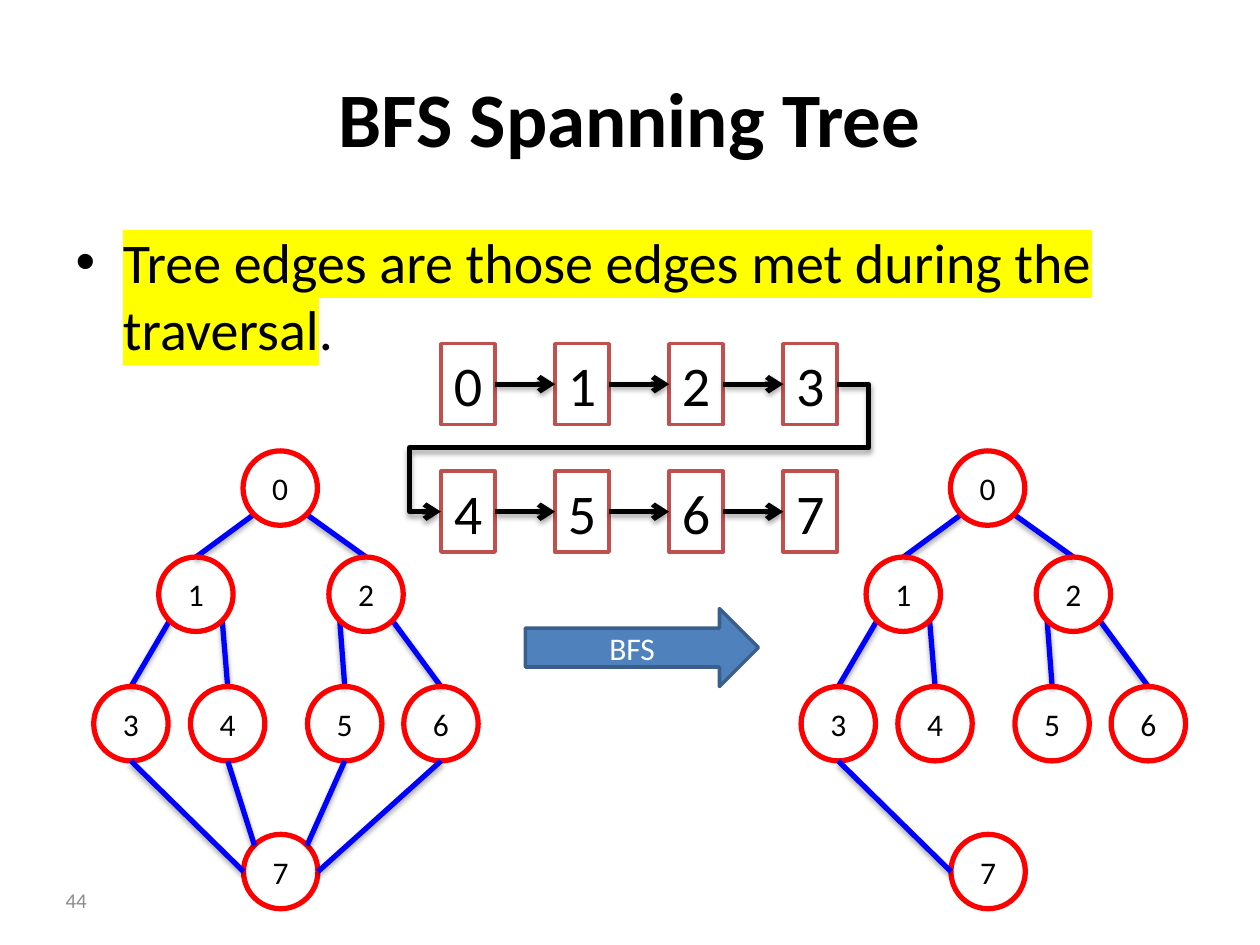
from dataclasses import dataclass
from math import sqrt

from lxml import etree
from pptx import Presentation
from pptx.dml.color import RGBColor
from pptx.enum import shapes, text
from pptx.oxml import ns
from pptx.util import Cm, Pt


@dataclass(frozen=True)
class Theme:
    font: str = "Calibri"
    black: str = "000000"
    white: str = "FFFFFF"
    grey: str = "8C8C8C"
    node: str = "FF0000"
    edge: str = "0000FF"
    box: str = "C0504D"
    arrow: str = "4F81BD"
    arrow_line: str = "3A5F8C"
    highlight: str = "FFFF00"
    title_size: int = 44
    body_size: int = 32
    label_size: int = 18
    number_size: int = 12
    thick: int = 3
    thin: int = 2


THEME = Theme()
DIAMETER = 1.5
NODES = {
    "0": (5.65, 9.84),
    "1": (3.95, 11.98), "2": (7.38, 11.98),
    "3": (2.64, 14.59), "4": (4.59, 14.59), "5": (6.95, 14.59), "6": (8.89, 14.59),
    "7": (5.66, 17.57),
}
DIAGONAL = 1 / sqrt(2)
SITES = {
    "top": (0, -1), "bottom": (0, 1), "left": (-1, 0), "right": (1, 0),
    "top left": (-DIAGONAL, -DIAGONAL), "top right": (DIAGONAL, -DIAGONAL),
    "bottom left": (-DIAGONAL, DIAGONAL), "bottom right": (DIAGONAL, DIAGONAL),
}
# Parent, site on parent, child; each edge ends at the top of the child.
UPPER_EDGES = [
    ("0", "bottom left", "1"), ("0", "bottom right", "2"),
    ("1", "bottom left", "3"), ("1", "bottom right", "4"),
    ("2", "bottom left", "5"), ("2", "bottom right", "6"),
]
# Parent, site on node 7; each edge starts at the bottom of the parent.
LOWER_EDGES = [("3", "left"), ("4", "top left"), ("5", "top right"), ("6", "right")]
TREE_OFFSET = 14.26

BOX_LEFT, BOX_STEP, BOX_WIDTH, BOX_HEIGHT = 8.89, 2.3, 1.09, 1.63
QUEUE_ROWS = [(6.93, "0123"), (9.5, "4567")]


def color(value):
    return RGBColor.from_string(value)


def add_run(paragraph, words, size, ink=THEME.black, bold=None, highlight=None):
    run = paragraph.add_run()
    run.text = words
    run.font.name = THEME.font
    run.font.size = Pt(size)
    run.font.bold = bold
    run.font.color.rgb = color(ink)
    if highlight:
        mark = etree.Element(ns.qn("a:highlight"))
        etree.SubElement(mark, ns.qn("a:srgbClr"), val=highlight)
        run.font._element.find(ns.qn("a:solidFill")).addnext(mark)


def place(shape, left, top, width, height):
    shape.left, shape.top, shape.width, shape.height = map(Cm, (left, top, width, height))


def add_shape(slide, kind, bounds, line, weight, fill=None):
    shape = slide.shapes.add_shape(kind, *map(Cm, bounds))
    shape.shadow.inherit = False
    if fill:
        shape.fill.solid()
        shape.fill.fore_color.rgb = color(fill)
    else:
        shape.fill.background()
    shape.line.color.rgb = color(line)
    shape.line.width = Pt(weight)
    return shape


def add_label(shape, words, size, ink=THEME.black):
    shape.text_frame.vertical_anchor = text.MSO_ANCHOR.MIDDLE
    paragraph = shape.text_frame.paragraphs[0]
    paragraph.alignment = text.PP_ALIGN.CENTER
    add_run(paragraph, words, size, ink)


def add_line(slide, start, end, ink, kind=shapes.MSO_CONNECTOR.STRAIGHT, arrow=False):
    """Add a line with a soft shadow below it."""
    connector = slide.shapes.add_connector(kind, *map(Cm, (*start, *end)))
    connector.line.color.rgb = color(ink)
    connector.line.width = Pt(THEME.thick)
    properties = connector._element.spPr
    if arrow:
        etree.SubElement(properties.find(ns.qn("a:ln")), ns.qn("a:tailEnd"), type="arrow")
    effects = etree.SubElement(properties, ns.qn("a:effectLst"))
    shadow = etree.SubElement(effects, ns.qn("a:outerShdw"), blurRad=str(Pt(3.1)),
                              dist=str(Pt(1.8)), dir="5400000", rotWithShape="0")
    shade = etree.SubElement(shadow, ns.qn("a:srgbClr"), val=THEME.black)
    etree.SubElement(shade, ns.qn("a:alpha"), val="35000")
    return connector


def add_row_link(slide, start, end):
    """Lead from the end of one queue row round to the start of the next."""
    connector = add_line(slide, start, end, THEME.black, shapes.MSO_CONNECTOR.ELBOW, True)
    geometry = connector._element.spPr.find(ns.qn("a:prstGeom"))
    geometry.set("prst", "bentConnector5")
    guides = geometry.find(ns.qn("a:avLst"))
    for number, value in enumerate((-7900, 50000, 107900), 1):
        etree.SubElement(guides, ns.qn("a:gd"), name=f"adj{number}", fmla=f"val {value}")


def add_tree(slide, offset, lower_edges):
    def site(node, side):
        x, y = NODES[node]
        across, down = SITES[side]
        return offset + x + across * DIAMETER / 2, y + down * DIAMETER / 2

    for parent, side, child in UPPER_EDGES:
        add_line(slide, site(parent, side), site(child, "top"), THEME.edge)
    for name, (x, y) in NODES.items():
        bounds = (offset + x - DIAMETER / 2, y - DIAMETER / 2, DIAMETER, DIAMETER)
        node = add_shape(slide, shapes.MSO_SHAPE.OVAL, bounds, THEME.node, THEME.thick)
        add_label(node, name, THEME.label_size)
    for parent, side in lower_edges:
        add_line(slide, site("7", side), site(parent, "bottom"), THEME.edge)


def add_queue(slide):
    for top, names in QUEUE_ROWS:
        middle = top + BOX_HEIGHT / 2
        for column, name in enumerate(names):
            left = BOX_LEFT + column * BOX_STEP
            box = add_shape(slide, shapes.MSO_SHAPE.RECTANGLE,
                            (left, top, BOX_WIDTH, BOX_HEIGHT),
                            THEME.box, THEME.thin, THEME.white)
            add_label(box, name, THEME.body_size)
            box.text_frame.word_wrap = False
            if column:
                add_line(slide, (left - BOX_STEP + BOX_WIDTH, middle), (left, middle),
                         THEME.black, arrow=True)
    first, second = (top + BOX_HEIGHT / 2 for top, _ in QUEUE_ROWS)
    add_row_link(slide, (BOX_LEFT + 3 * BOX_STEP + BOX_WIDTH, first), (BOX_LEFT, second))


def add_heading_and_list(slide):
    title, body = slide.placeholders
    place(title, 1.27, 0.76, 22.86, 3.18)
    add_run(title.text_frame.paragraphs[0], "BFS Spanning Tree", THEME.title_size, bold=True)
    place(body, 1.27, 4.45, 22.86, 12.57)
    paragraph = body.text_frame.paragraphs[0]
    add_run(paragraph, "Tree edges are those edges met during the traversal",
            THEME.body_size, highlight=THEME.highlight)
    add_run(paragraph, ".", THEME.body_size)


def add_slide_number(slide, number):
    box = slide.shapes.add_textbox(*map(Cm, (0.5, 17.63, 1.5, 1.02)))
    box.text_frame.word_wrap = True
    box.text_frame.vertical_anchor = text.MSO_ANCHOR.MIDDLE
    paragraph = box.text_frame.paragraphs[0]
    paragraph.alignment = text.PP_ALIGN.RIGHT
    add_run(paragraph, number, THEME.number_size, THEME.grey)


def main():
    presentation = Presentation()
    presentation.slide_width, presentation.slide_height = Cm(25.4), Cm(19.05)
    slide = presentation.slides.add_slide(presentation.slide_layouts[1])
    add_heading_and_list(slide)
    add_tree(slide, 0, LOWER_EDGES)
    add_tree(slide, TREE_OFFSET, LOWER_EDGES[:1])
    add_queue(slide)
    arrow = add_shape(slide, shapes.MSO_SHAPE.RIGHT_ARROW, (10.59, 12.27, 4.7, 1.57),
                      THEME.arrow_line, THEME.thin, THEME.arrow)
    add_label(arrow, "BFS", THEME.label_size, THEME.white)
    add_slide_number(slide, "44")
    presentation.save("out.pptx")


if __name__ == "__main__":
    main()
